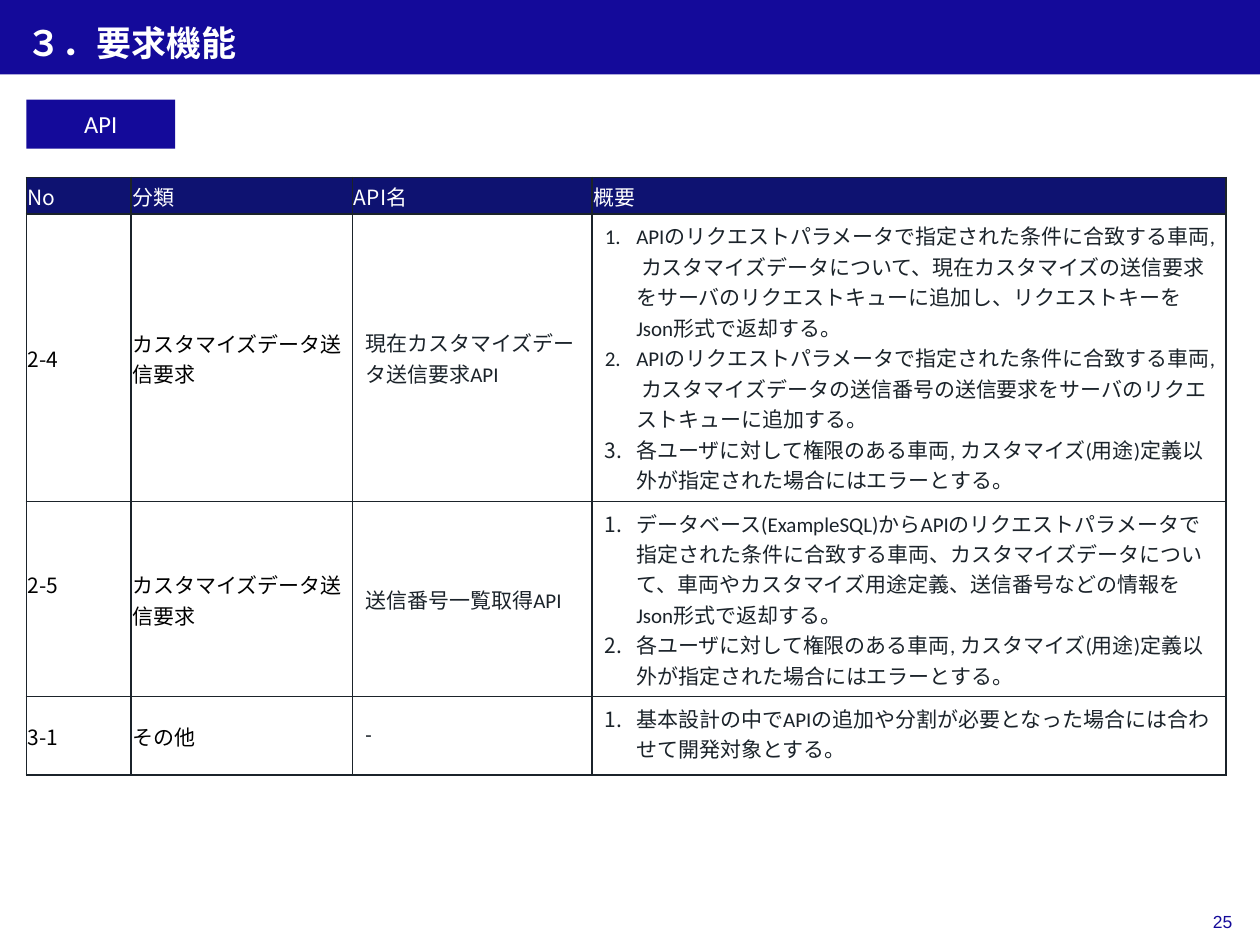
import pptx
import pptx.util
import pptx.dml.color
import pptx.enum.shapes
import pptx.enum.text
import pptx.oxml
import pptx.oxml.ns
from lxml import etree

Inches, Pt = pptx.util.Inches, pptx.util.Pt
MIDDLE = pptx.enum.text.MSO_ANCHOR.MIDDLE
ALIGN = pptx.enum.text.PP_ALIGN
RECT = pptx.enum.shapes.MSO_SHAPE.RECTANGLE
CJK = "Noto Sans CJK JP"

COLORS = {"brand": "140A9A", "header": "0E1271", "ink": "1B232A",
          "black": "000000", "white": "FFFFFF"}

TITLE = "３．要求機能"
SECTION = "API"
PAGE = "25"
HEADERS = ["No", "分類", "API名", "概要"]
PERMISSION = "各ユーザに対して権限のある車両, カスタマイズ(用途)定義以外が指定された場合にはエラーとする。"
ROWS = [
    ("2-4", "カスタマイズデータ送信要求", "現在カスタマイズデータ送信要求API", [
        "APIのリクエストパラメータで指定された条件に合致する車両, カスタマイズデータについて、"
        "現在カスタマイズの送信要求をサーバのリクエストキューに追加し、リクエストキーをJson形式で返却する。",
        "APIのリクエストパラメータで指定された条件に合致する車両, カスタマイズデータの送信番号の"
        "送信要求をサーバのリクエストキューに追加する。",
        PERMISSION]),
    ("2-5", "カスタマイズデータ送信要求", "送信番号一覧取得API", [
        "データベース(ExampleSQL)からAPIのリクエストパラメータで指定された条件に合致する車両、"
        "カスタマイズデータについて、車両やカスタマイズ用途定義、送信番号などの情報をJson形式で返却する。",
        PERMISSION]),
    ("3-1", "その他", "-", [
        "基本設計の中でAPIの追加や分割が必要となった場合には合わせて開発対象とする。"]),
]
COL_WIDTHS = [0.83, 1.76, 1.9, 5.03]
ROW_HEIGHTS = [0.29, 2.28, 1.55, 0.62]
RAISED = "2-5"  # this number lines up with the first line of its category


def rgb(name):
    return pptx.dml.color.RGBColor.from_string(COLORS[name])


def sub(parent, tag, **attrs):
    return etree.SubElement(parent, pptx.oxml.ns.qn(tag), attrs)


def add_run(p, text, size, font, color, bold=False, east_asian=CJK):
    r = p.add_run()
    r.text = text
    r.font.size, r.font.name, r.font.bold = Pt(size), font, bold
    r.font.color.rgb = rgb(color)
    if east_asian:
        sub(r.font._element, "a:ea", typeface=east_asian)


def set_margins(obj, left, top, right, bottom):
    obj.margin_left, obj.margin_top = Inches(left), Inches(top)
    obj.margin_right, obj.margin_bottom = Inches(right), Inches(bottom)


def add_rect(s, left, top, width, height):
    sp = s.shapes.add_shape(RECT, *map(Inches, (left, top, width, height)))
    sp.shadow.inherit = False
    sp.fill.solid()
    sp.fill.fore_color.rgb = rgb("brand")
    sp.line.fill.background()
    return sp


def number_paragraph(p):
    pPr = p._p.get_or_add_pPr()
    indent = Inches(0.25)
    pPr.set("marL", str(indent))
    pPr.set("indent", str(-indent))
    sub(pPr, "a:buFont", typeface="+mj-lt")
    sub(pPr, "a:buAutoNum", type="arabicPeriod")


def style_cell(cell, fill=None, tight=False, anchor=MIDDLE):
    """Borders come before the fill, as the schema of a:tcPr asks."""
    tcPr = cell._tc.get_or_add_tcPr()
    for side in ("a:lnL", "a:lnR", "a:lnT", "a:lnB"):
        ln = sub(tcPr, side, w=str(Pt(1)))
        sub(sub(ln, "a:solidFill"), "a:srgbClr", val=COLORS["ink"])
    if fill:
        cell.fill.solid()
        cell.fill.fore_color.rgb = rgb(fill)
    else:
        cell.fill.background()
    if anchor:
        cell.vertical_anchor = anchor
    if tight:
        set_margins(cell, 0.01, 0.01, 0.01, 0)


def add_api_table(s):
    frame = s.shapes.add_table(len(ROWS) + 1, len(HEADERS), Inches(0.21), Inches(1.41),
                               Inches(sum(COL_WIDTHS)), Inches(sum(ROW_HEIGHTS)))
    table = frame.table
    for column, width in zip(table.columns, COL_WIDTHS):
        column.width = Inches(width)
    for row, height in zip(table.rows, ROW_HEIGHTS):
        row.height = Inches(height)
    for j, text in enumerate(HEADERS):
        cell = table.cell(0, j)
        style_cell(cell, "header", tight=True)
        add_run(cell.text_frame.paragraphs[0], text, 12, CJK, "white")
    for i, (*labels, summary) in enumerate(ROWS, 1):
        for j, text in enumerate(labels):
            cell = table.cell(i, j)
            is_name = j == 2
            style_cell(cell, tight=not is_name)
            if text == RAISED:
                cell.margin_bottom = Inches(0.24)
            font, color = ("Calibri", "ink") if is_name else (CJK, "black")
            add_run(cell.text_frame.paragraphs[0], text, 12, font, color)
        cell = table.cell(i, 3)
        style_cell(cell, anchor=None)
        for n, text in enumerate(summary):
            tf = cell.text_frame
            p = tf.add_paragraph() if n else tf.paragraphs[0]
            number_paragraph(p)
            add_run(p, text, 12, "Calibri", "ink")


def add_header(s):
    rule = s.shapes.add_connector(pptx.enum.shapes.MSO_CONNECTOR.STRAIGHT,
                                  0, Inches(0.56), Inches(10), Inches(0.56))
    rule.line.color.rgb = rgb("brand")
    rule.line.width = Pt(0.5)
    sub(rule._element.spPr, "a:effectLst")
    add_rect(s, 0, 0, 10, 0.59)

    title = s.shapes.title
    title.left, title.top = Inches(0.21), Inches(0.14)
    title.width, title.height = Inches(9.57), Inches(0.43)
    tf = title.text_frame
    tf.vertical_anchor = MIDDLE
    tf.auto_size = pptx.enum.text.MSO_AUTO_SIZE.NONE
    set_margins(tf, 0, 0.05, 0.1, 0.05)
    p = tf.paragraphs[0]
    p.alignment, p.line_spacing = ALIGN.LEFT, 0.9
    add_run(p, TITLE, 20, "Arial", "white", bold=True, east_asian=None)
    s.shapes._spTree.append(title._element)  # in front of the band


def add_page_number(s):
    box = s.shapes.add_textbox(Inches(9.18), Inches(7.18), Inches(0.6), Inches(0.27))
    tf = box.text_frame
    tf.word_wrap = True
    set_margins(tf, 0, 0.05, 0, 0.05)
    p = tf.paragraphs[0]
    p.alignment = ALIGN.RIGHT
    add_run(p, PAGE, 10, "Arial", "brand")


def add_section_tag(s):
    tf = add_rect(s, 0.21, 0.79, 1.18, 0.39).text_frame
    tf.word_wrap = False
    tf.vertical_anchor = MIDDLE
    p = tf.paragraphs[0]
    p.alignment = ALIGN.CENTER
    add_run(p, SECTION, 14, "Calibri", "white")


def main():
    prs = pptx.Presentation()
    prs.slide_width, prs.slide_height = Inches(10), Inches(7.5)
    s = prs.slides.add_slide(prs.slide_layouts[5])
    add_header(s)
    add_page_number(s)
    add_section_tag(s)
    add_api_table(s)
    prs.save("out.pptx")


if __name__ == "__main__":
    main()
